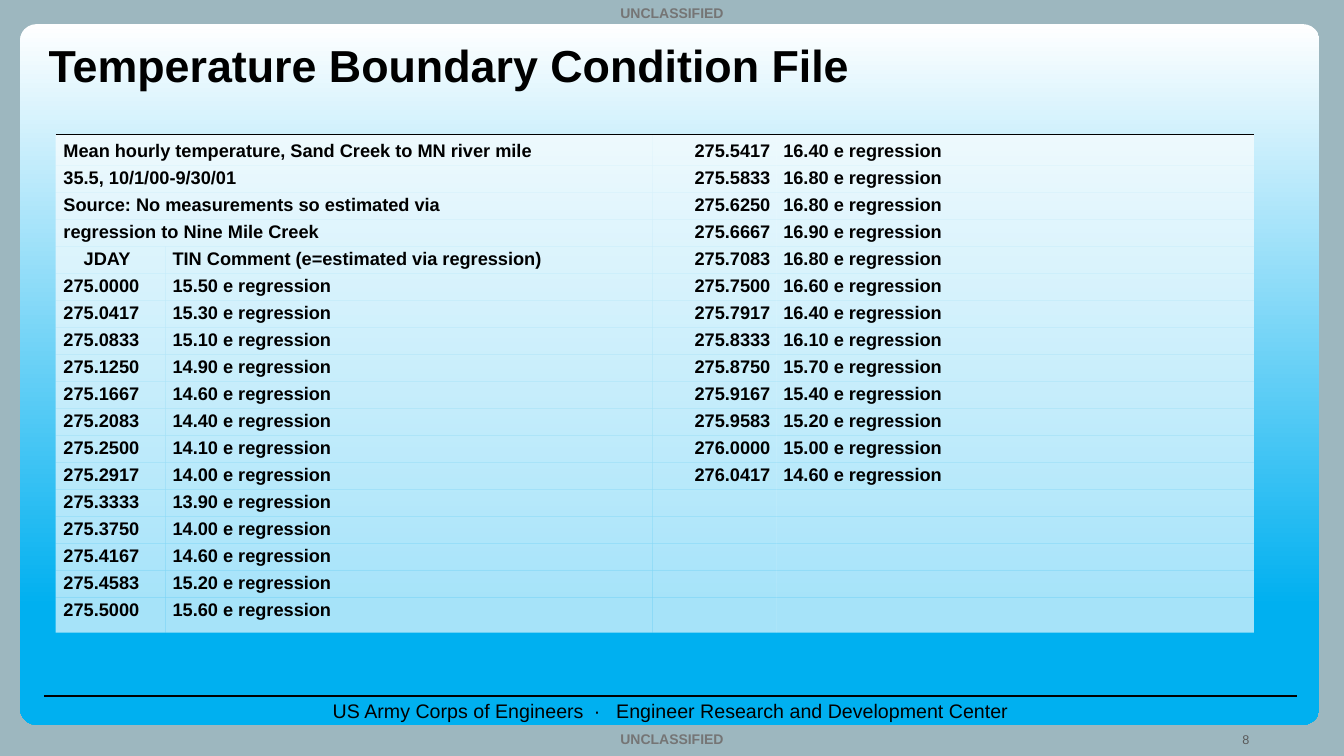
import dataclasses

import lxml.etree
import pptx
import pptx.dml.color
import pptx.enum.shapes
import pptx.enum.text
import pptx.oxml.ns
import pptx.util

Cm = pptx.util.Cm
Pt = pptx.util.Pt
qn = pptx.oxml.ns.qn
Align = pptx.enum.text.PP_ALIGN
Anchor = pptx.enum.text.MSO_ANCHOR


@dataclasses.dataclass(frozen=True)
class Theme:
    font: str = "Arial"
    ink: str = "000000"
    backdrop: str = "9DB7BF"
    paper: str = "FFFFFF"
    sky: str = "00B0F0"
    marking: str = "757575"
    number: str = "595959"
    title_size: int = 32
    footer_size: int = 14
    table_size: int = 13
    marking_size: int = 10
    number_size: int = 9
    cell_opacity: int = 65


@dataclasses.dataclass(frozen=True)
class Box:
    left: float
    top: float
    width: float
    height: float

    def lengths(self):
        return [Cm(value) for value in dataclasses.astuple(self)]


THEME = Theme()
NO_GRID_STYLE = "{2D5ABB26-0587-4C30-8999-92F81FD0307C}"
COLUMN_WIDTHS = [2.77, 12.27, 3.12, 12.04]
FIRST_ROW, MIDDLE_ROW, LAST_ROW = 0.79, 0.68, 0.89
INDENTS = [0.2, 0.18, 0, 0.18]
HEADINGS = [
    "Mean hourly temperature, Sand Creek to MN river mile",
    "35.5, 10/1/00-9/30/01",
    "Source: No measurements so estimated via",
    "regression to Nine Mile Creek",
]
COLUMN_NAMES = ("JDAY", "TIN Comment (e=estimated via regression)")
TEMPERATURES = [
    "15.50", "15.30", "15.10", "14.90", "14.60", "14.40", "14.10", "14.00", "13.90",
    "14.00", "14.60", "15.20", "15.60", "16.40", "16.80", "16.80", "16.90", "16.80",
    "16.60", "16.40", "16.10", "15.70", "15.40", "15.20", "15.00", "14.60",
]
FIRST_DAY = 275
LEFT_COUNT = 13


def color(code):
    return pptx.dml.color.RGBColor.from_string(code)


def format_text(para, size, code, bold=False, align=Align.LEFT):
    para.alignment = align
    for span in para.runs:
        span.font.name = THEME.font
        span.font.size = Pt(size)
        span.font.bold = bold
        span.font.color.rgb = color(code)


def add_label(page, box, text, size, code, bold=False, align=Align.CENTER):
    label = page.shapes.add_textbox(*box.lengths())
    label.text_frame.word_wrap = True
    label.text_frame.text = text
    format_text(label.text_frame.paragraphs[0], size, code, bold, align)


def add_panel(page, box):
    kind = pptx.enum.shapes.MSO_SHAPE.ROUNDED_RECTANGLE
    panel = page.shapes.add_shape(kind, *box.lengths())
    panel.adjustments[0] = 0.023
    panel.shadow.inherit = False
    panel.line.fill.background()
    panel.fill.gradient()
    panel.fill.gradient_angle = 270
    stops = panel.fill.gradient_stops
    for stop, position, code in zip(stops, (0, 0.83), (THEME.paper, THEME.sky)):
        stop.position = position
        stop.color.rgb = color(code)


def add_footer(page, box):
    kind = pptx.enum.shapes.MSO_CONNECTOR.STRAIGHT
    top = Cm(box.top + 0.05)
    rule = page.shapes.add_connector(kind, Cm(box.left), top, Cm(box.left + box.width), top)
    rule.line.color.rgb = color(THEME.ink)
    rule.line.width = Pt(1.5)
    lxml.etree.SubElement(rule._element.spPr, qn("a:effectLst"))
    text = "US Army Corps of Engineers  ∙   Engineer Research and Development Center"
    add_label(page, box, text, THEME.footer_size, THEME.ink)


def add_markings(page, box):
    for top in (box.top, box.top + box.height - 0.76):
        strip = Box(box.left, top, box.width, 0.69)
        add_label(page, strip, "UNCLASSIFIED", THEME.marking_size, THEME.marking, True)
    corner = Box(box.left + 31.06, box.top + box.height - 0.74, 2.69, 0.7)
    add_label(page, corner, "8", THEME.number_size, THEME.number, align=Align.LEFT)


def place_title(page, box):
    title = page.shapes.title
    page.shapes._spTree.append(title._element)
    title.left, title.top, title.width, title.height = box.lengths()
    frame = title.text_frame
    frame.text = "Temperature Boundary Condition File"
    frame.vertical_anchor = Anchor.MIDDLE
    frame.auto_size = pptx.enum.text.MSO_AUTO_SIZE.NONE
    format_text(frame.paragraphs[0], THEME.title_size, THEME.ink, True)


def table_rows():
    readings = [
        (f"{FIRST_DAY + hour / 24:.4f}", f"{value} e regression")
        for hour, value in enumerate(TEMPERATURES)
    ]
    left = [(heading, "") for heading in HEADINGS] + [COLUMN_NAMES] + readings[:LEFT_COUNT]
    right = readings[LEFT_COUNT:]
    right += [("", "")] * (len(left) - len(right))
    return [first + second for first, second in zip(left, right)]


def fill_cell(cell, text, row, column):
    cell.margin_left = Cm(0.71 if text == COLUMN_NAMES[0] else INDENTS[column])
    cell.margin_right = Cm(0.15 if column == 2 else 0)
    cell.margin_top = Cm(0.08 if row == 0 else 0)
    cell.margin_bottom = 0
    cell.fill.solid()
    cell.fill.fore_color.rgb = color(THEME.paper)
    properties = cell._tc.get_or_add_tcPr()
    tint = properties.find(".//" + qn("a:srgbClr"))
    lxml.etree.SubElement(tint, qn("a:alpha"), val=str(THEME.cell_opacity * 1000))
    if row == 0:
        border = lxml.etree.Element(qn("a:lnT"), w=str(Pt(0.75)))
        stroke = lxml.etree.SubElement(border, qn("a:solidFill"))
        lxml.etree.SubElement(stroke, qn("a:srgbClr"), val=THEME.ink)
        properties.insert(0, border)
    para = cell.text_frame.paragraphs[0]
    if text:
        para.text = text
        para.line_spacing = 1.2 if row == 0 else 1.15 if column > 1 else 1.13
        align = Align.RIGHT if column == 2 else Align.LEFT
        format_text(para, THEME.table_size, THEME.ink, True, align)
    else:
        lxml.etree.SubElement(para._p, qn("a:endParaRPr"), sz=str(THEME.table_size * 100))


def add_readings(page, box):
    rows = table_rows()
    frame = page.shapes.add_table(len(rows), len(COLUMN_WIDTHS), *box.lengths())
    table = frame.table
    table.first_row = False
    table.horz_banding = False
    table._tbl.tblPr.find(qn("a:tableStyleId")).text = NO_GRID_STYLE
    for column, width in zip(table.columns, COLUMN_WIDTHS):
        column.width = Cm(width)
    heights = [FIRST_ROW] + [MIDDLE_ROW] * (len(rows) - 2) + [LAST_ROW]
    for row, (values, height) in enumerate(zip(rows, heights)):
        table.rows[row].height = Cm(height)
        for column, text in enumerate(values):
            fill_cell(table.cell(row, column), text, row, column)
        if row < len(HEADINGS):
            table.cell(row, 0).merge(table.cell(row, 1))


def build_table_slide(deck, box):
    page = deck.slides.add_slide(deck.slide_layouts[5])
    page.background.fill.solid()
    page.background.fill.fore_color.rgb = color(THEME.backdrop)
    left, top = box.left, box.top
    add_panel(page, Box(left + 0.51, top + 0.61, 32.74, 17.65))
    add_footer(page, Box(left + 1.12, top + 17.48, 31.57, 0.86))
    add_markings(page, box)
    place_title(page, Box(left + 0.97, top + 0.51, 31.04, 2.24))
    add_readings(page, Box(left + 1.4, top + 3.38, sum(COLUMN_WIDTHS), 12.56))


def main():
    deck = pptx.Presentation()
    slide = Box(0, 0, 33.87, 19.05)
    deck.slide_width = Cm(slide.width)
    deck.slide_height = Cm(slide.height)
    build_table_slide(deck, slide)
    deck.save("out.pptx")


if __name__ == "__main__":
    main()
